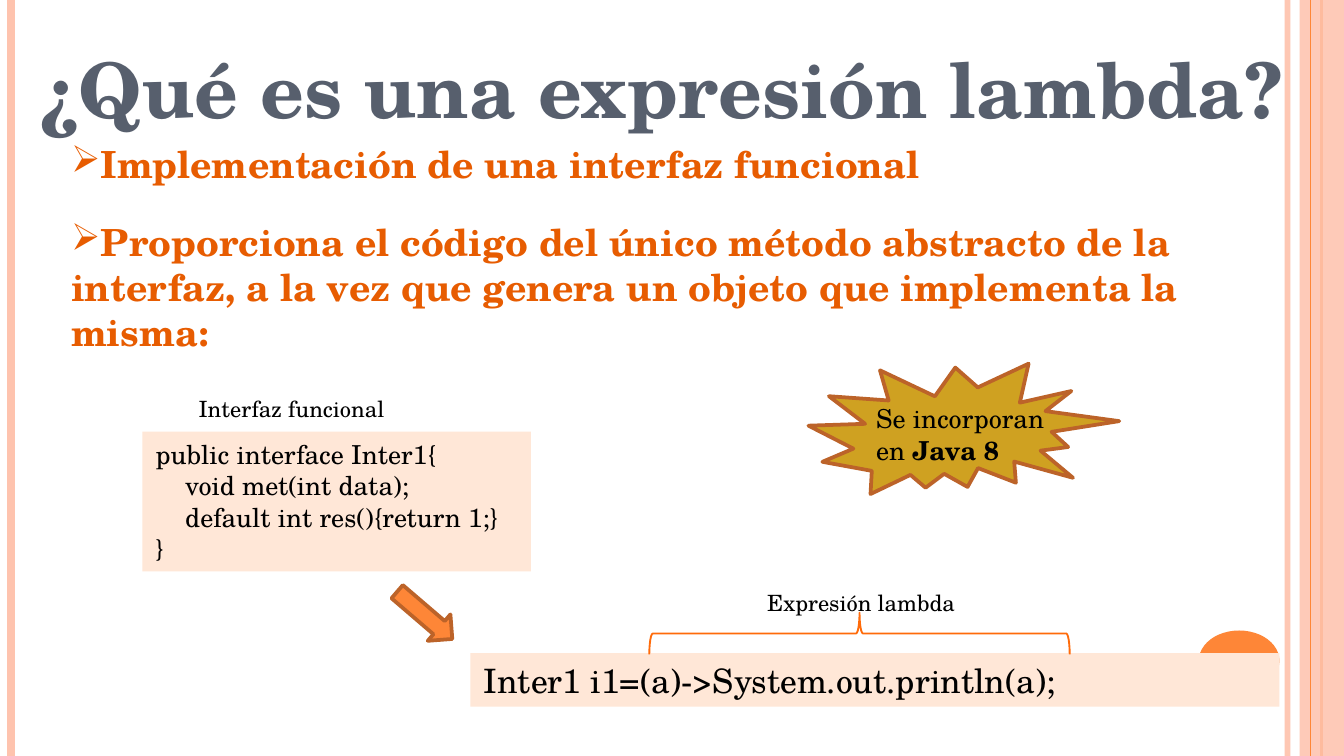
from lxml.etree import SubElement
from pptx import Presentation
from pptx.dml.color import RGBColor
from pptx.enum.shapes import MSO_CONNECTOR as Conn, MSO_SHAPE as Shape
from pptx.enum.text import MSO_ANCHOR as Anchor, PP_ALIGN as Align
from pptx.oxml.ns import qn
from pptx.util import Inches, Pt

W, H = Inches(10), Inches(5.625)
FONT = "TeX Gyre Schola"
COLORS = {
    "rose": "FEC3AE", "orange": "FE8637", "slate": "575F6D", "body": "E75C01",
    "code": "FFE7D7", "brace": "FF6B0A", "gold": "CFA121", "rust": "BC6329",
    "black": "000000",
}


def rgb(name):
    """Return the named colour."""
    return RGBColor.from_string(COLORS[name])


def box(x, y, w, h):
    """Turn percentages of the slide's size into lengths."""
    return [round(v * side / 100) for v, side in zip((x, y, w, h), (W, H, W, H))]


def set_alpha(element, percent):
    """Make the first solid colour inside an element see-through."""
    color = next(element.iter(qn("a:srgbClr")))
    SubElement(color, qn("a:alpha"), val=str(percent * 1000))


def add_rule(s, x, color, width, alpha=100):
    """Draw a vertical line over the whole height of the slide."""
    left, top, _, height = box(x, 0, 0, 100)
    line = s.shapes.add_connector(Conn.STRAIGHT, left, top, left, top + height)
    line.line.color.rgb = rgb(color)
    line.line.width = Pt(width)
    sp_pr = line._element.spPr
    SubElement(sp_pr, qn("a:effectLst"))
    if alpha < 100:
        set_alpha(sp_pr, alpha)


def add_figure(s, kind, place, fill=None, line=None, width=1, turn=0, alpha=100):
    """Draw a preset shape without a shadow."""
    sp = s.shapes.add_shape(kind, *box(*place))
    sp.shadow.inherit = False
    sp.rotation = turn
    if fill:
        sp.fill.solid()
        sp.fill.fore_color.rgb = rgb(fill)
    else:
        sp.fill.background()
    if line:
        sp.line.color.rgb = rgb(line)
        sp.line.width = Pt(width)
    else:
        sp.line.fill.background()
    if alpha < 100:
        set_alpha(sp._element.spPr, alpha)
    return sp


def write(sp, lines, size, color="black", bold=None, anchor=Anchor.TOP):
    """Fill a shape with left-aligned paragraphs and return them."""
    tf = sp.text_frame
    tf.word_wrap = True
    tf.vertical_anchor = anchor
    for i, text in enumerate(lines):
        p = tf.paragraphs[0] if i == 0 else tf.add_paragraph()
        p.alignment = Align.LEFT
        p.font.name, p.font.size, p.font.bold = FONT, Pt(size), bold
        p.font.color.rgb = rgb(color)
        r = p.add_run()
        r.text = text
        r.font.name, r.font.size, r.font.bold = FONT, Pt(size), bold
        r.font.color.rgb = rgb(color)
    return tf.paragraphs


def add_text(s, place, lines, size, **style):
    """Add a text box and return its paragraphs."""
    return write(s.shapes.add_textbox(*box(*place)), lines, size, **style)


def add_code(s, place, lines, size):
    """Add a tinted code panel and return its paragraphs."""
    panel = add_figure(s, Shape.RECTANGLE, place, "code")
    return write(panel, lines, size)


def add_bullets(s, place, lines):
    """Add the bold statements with arrowhead bullets."""
    for p in add_text(s, place, lines, 20, color="body", bold=True):
        p.space_before, p.space_after = Pt(6), Pt(12)
        p_pr = p._p.get_or_add_pPr()
        p_pr.set("marL", "0")
        p_pr.set("indent", "0")
        SubElement(p_pr, qn("a:buChar"), char="➢")


def add_frame(s):
    """Draw the decoration along the slide's edges."""
    add_rule(s, 95.8, "rose", 3, 93)
    add_rule(s, 0.8, "rose", 4.5)
    add_rule(s, 98.3, "orange", 1.5)
    add_figure(s, Shape.RECTANGLE, (96.7, 0, 3.3, 100), "rose", alpha=87)
    add_rule(s, 97.5, "orange", 0.75)
    add_figure(s, Shape.OVAL, (89.2, 83.4, 6, 8), "orange")


def main():
    """Build the slide and save it."""
    prs = Presentation()
    prs.slide_width, prs.slide_height = W, H
    s = prs.slides.add_slide(prs.slide_layouts[6])
    add_frame(s)
    add_text(s, (2, 3.7, 96.1, 15.8), ["¿Qué es una expresión lambda?"], 41,
             color="slate", bold=True, anchor=Anchor.MIDDLE)
    add_bullets(s, (4.3, 17.8, 92.1, 26.3), [
        "Implementación de una interfaz funcional",
        "Proporciona el código del único método abstracto de la interfaz, "
        "a la vez que genera un objeto que implementa la misma:",
    ])

    add_code(s, (35, 86.4, 60.2, 7.1), ["Inter1 i1=(a)->System.out.println(a);"], 18)
    add_figure(s, Shape.LEFT_BRACE, (62.4, 56, 3.1, 55.6), line="brace", turn=90)
    add_text(s, (56.1, 77, 25, 5.3), ["Expresión lambda"], 12)

    code = add_code(s, (10.6, 57.1, 28.9, 18.5), [
        "public interface Inter1{", "void met(int data);",
        "default int res(){return 1;}", "}",
    ], 14)
    for p in code[1:3]:
        p._p.get_or_add_pPr().set("marL", str(Inches(0.22)))
    add_text(s, (13.8, 51.4, 25, 5.3), ["Interfaz funcional"], 12)

    add_figure(s, Shape.EXPLOSION2, (60.2, 47.1, 22.9, 19.7), "gold", "rust", 2, 7.1)
    note = add_text(s, (64.2, 52.4, 16.5, 10.1), ["Se incorporan en "], 14)[0]
    r = note.add_run()
    r.text = "Java 8"
    r.font.name, r.font.size, r.font.bold = FONT, Pt(14), True
    r.font.color.rgb = rgb("black")
    add_figure(s, Shape.RIGHT_ARROW, (28.9, 79.1, 5.4, 4.6), "orange", "rust", 2, 40.6)
    prs.save("out.pptx")


if __name__ == "__main__":
    main()
